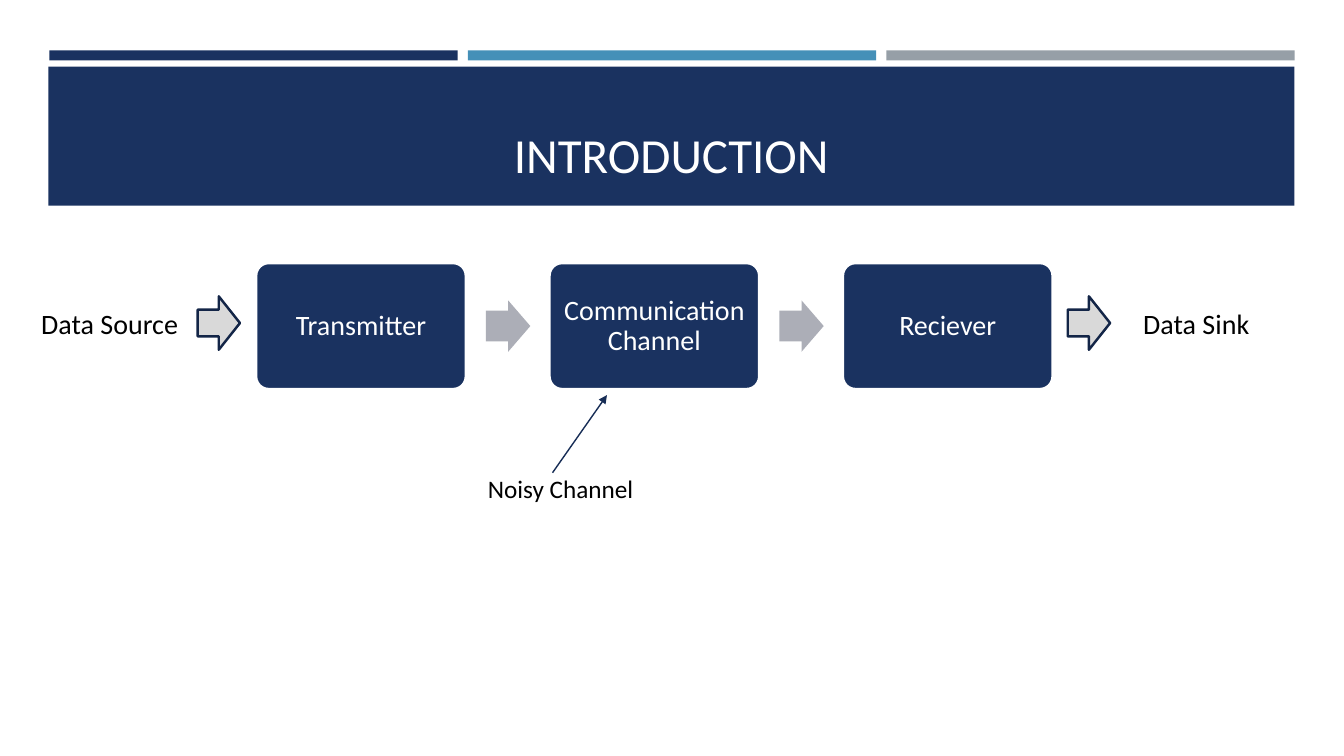
from lxml import etree
from pptx import Presentation
from pptx.dml.color import RGBColor
from pptx.enum.shapes import MSO_CONNECTOR, MSO_SHAPE
from pptx.enum.text import MSO_ANCHOR, PP_ALIGN
from pptx.oxml.ns import qn
from pptx.util import Inches, Pt

RECT, ROUND, ARROW = MSO_SHAPE.RECTANGLE, MSO_SHAPE.ROUNDED_RECTANGLE, MSO_SHAPE.RIGHT_ARROW
STRAIGHT = MSO_CONNECTOR.STRAIGHT
TOP, MIDDLE, BOTTOM = MSO_ANCHOR.TOP, MSO_ANCHOR.MIDDLE, MSO_ANCHOR.BOTTOM
LEFT, CENTER = PP_ALIGN.LEFT, PP_ALIGN.CENTER

NAVY = RGBColor(0x1A, 0x32, 0x60)
BLUE = RGBColor(0x45, 0x90, 0xB8)
GRAY = RGBColor(0x96, 0x9F, 0xA7)
SILVER = RGBColor(0xAC, 0xAE, 0xB7)
PALE = RGBColor(0xD9, 0xD9, 0xD9)
EDGE = RGBColor(0x13, 0x25, 0x47)
INK = RGBColor(0x17, 0x2D, 0x56)
WHITE = RGBColor(0xFF, 0xFF, 0xFF)
BLACK = RGBColor(0, 0, 0)

TITLE = "INTRODUCTION"
BARS = [NAVY, BLUE, GRAY]
STAGES = ["Transmitter", "Communication Channel", "Reciever"]
LABELS = [
    ("Data Source", (0.31, 2.99, 1.72, 0.44), 20),
    ("Data Sink", (11.24, 2.99, 1.6, 0.44), 20),
    ("Noisy Channel", (4.74, 4.65, 2.19, 0.4), 18),
]
ENDS = [1.96, 10.59]
NOISE = (5.48, 4.69, 6.02, 3.92)

BAR_X, BAR_STEP = 0.49, 4.15
STAGE_X, STAGE_STEP = 2.54, 2.91
FLOW_GAP = 2.28


def inches(nums):
    return [Inches(n) for n in nums]


def add_box(kind, box, fill, line=None):
    shape = slide.shapes.add_shape(kind, *inches(box))
    shape.shadow.inherit = False
    shape.fill.solid()
    shape.fill.fore_color.rgb = fill
    if line is None:
        shape.line.fill.background()
    else:
        shape.line.color.rgb = line
        shape.line.width = Pt(1.75)
    return shape


def put_text(shape, text, size=20, color=BLACK, align=LEFT, anchor=TOP, inset=0.1, space=1.0):
    frame = shape.text_frame
    frame.word_wrap = True
    frame.vertical_anchor = anchor
    frame.margin_left = frame.margin_right = Inches(inset)
    para = frame.paragraphs[0]
    para.alignment = align
    para.line_spacing = space
    run = para.add_run()
    run.text = text
    run.font.name = "Calibri"
    run.font.size = Pt(size)
    run.font.color.rgb = color


deck = Presentation()
deck.slide_width, deck.slide_height = Inches(13.33), Inches(7.5)
slide = deck.slides.add_slide(deck.slide_layouts[5])

for i, color in enumerate(BARS):
    add_box(RECT, (BAR_X + i * BAR_STEP, 0.5, 4.05, 0.1), color)
add_box(RECT, (0.48, 0.66, 12.36, 1.38), NAVY)

title = slide.shapes.title
title.left, title.top, title.width, title.height = inches((0.63, 0.8, 12.06, 1.08))
put_text(title, TITLE, size=35, color=WHITE, align=CENTER, anchor=BOTTOM, space=0.9)
slide.shapes.element.append(title.element)

for i, name in enumerate(STAGES):
    x = STAGE_X + i * STAGE_STEP
    stage = add_box(ROUND, (x, 2.61, 2.08, 1.25), NAVY, WHITE)
    stage.adjustments[0] = 0.1
    put_text(stage, name, color=WHITE, align=CENTER, anchor=MIDDLE, inset=0.09, space=0.9)
    if i < len(STAGES) - 1:
        flow = add_box(ARROW, (x + FLOW_GAP, 2.98, 0.44, 0.51), SILVER)
        flow.adjustments[0] = 0.6

for x in ENDS:
    add_box(ARROW, (x, 2.94, 0.42, 0.53), PALE, EDGE)

for text, box, size in LABELS:
    put_text(slide.shapes.add_textbox(*inches(box)), text, size=size)

noise = slide.shapes.add_connector(STRAIGHT, *inches(NOISE))
noise.line.color.rgb = INK
noise.line.width = Pt(1)
etree.SubElement(noise.line._get_or_add_ln(), qn("a:tailEnd"), type="triangle")
etree.SubElement(noise.element.spPr, qn("a:effectLst"))

deck.save("out.pptx")
